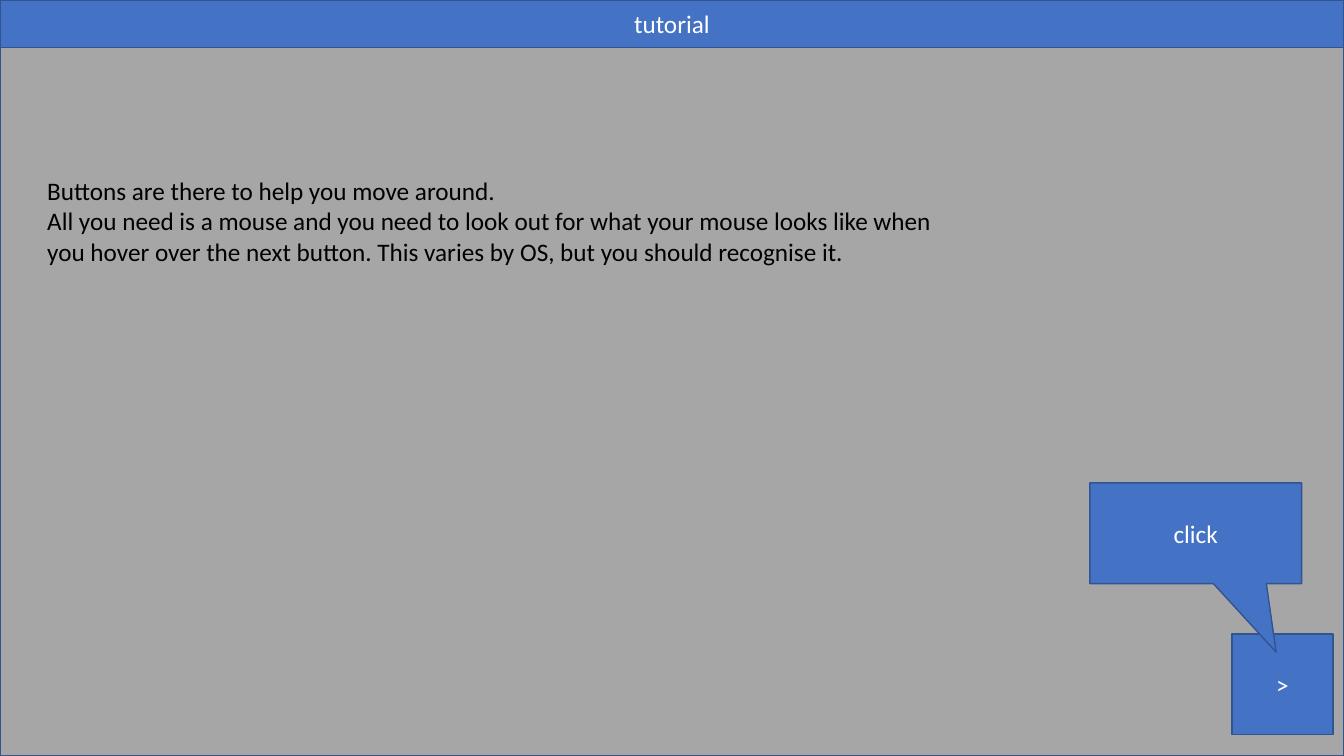
from pptx import Presentation
from pptx.dml.color import RGBColor
from pptx.enum.shapes import MSO_SHAPE
from pptx.enum.text import MSO_ANCHOR, MSO_AUTO_SIZE, PP_ALIGN
from pptx.util import Inches, Pt

RECTANGLE = MSO_SHAPE.RECTANGLE
CALLOUT = MSO_SHAPE.RECTANGULAR_CALLOUT
MIDDLE = MSO_ANCHOR.MIDDLE
GROW = MSO_AUTO_SIZE.SHAPE_TO_FIT_TEXT
LEFT, CENTER = PP_ALIGN.LEFT, PP_ALIGN.CENTER

SLIDE_WIDTH, SLIDE_HEIGHT = 13.33, 7.5
HEADER_HEIGHT = 0.47
COLORS = {
    "blue": "4472C4",
    "outline": "325491",
    "gray": "A6A6A6",
    "white": "FFFFFF",
    "black": "000000",
}
INSTRUCTIONS = [
    "Buttons are there to help you move around.",
    "All you need is a mouse and you need to look out for what your mouse "
    "looks like when you hover over the next button. This varies by OS, "
    "but you should recognise it.",
]


class TutorialSlide:
    """Holds the slide and the text and line style shared by its elements."""

    font_name = "Calibri"
    font_size = 18
    line_width = 1

    def __init__(self, slide):
        self.slide = slide

    def color(self, name):
        return RGBColor.from_string(COLORS[name])

    def add_lines(self, frame, lines, color, alignment):
        for index, line in enumerate(lines):
            paragraph = frame.add_paragraph() if index else frame.paragraphs[0]
            paragraph.alignment = alignment
            run = paragraph.add_run()
            run.text = line
            run.font.name = self.font_name
            run.font.size = Pt(self.font_size)
            run.font.color.rgb = self.color(color)

    def box(self, left, top, width, height, label=None, fill="blue", kind=RECTANGLE):
        shape = self.slide.shapes.add_shape(
            kind, Inches(left), Inches(top), Inches(width), Inches(height))
        shape.shadow.inherit = False
        shape.fill.solid()
        shape.fill.fore_color.rgb = self.color(fill)
        shape.line.color.rgb = self.color("outline")
        shape.line.width = Pt(self.line_width)
        if label:
            shape.text_frame.vertical_anchor = MIDDLE
            self.add_lines(shape.text_frame, [label], "white", CENTER)
        return shape

    def callout(self, left, top, width, height, label, tip):
        """Add a speech box; tip is its offset from the centre in box sizes."""
        shape = self.box(left, top, width, height, label, kind=CALLOUT)
        shape.adjustments[0], shape.adjustments[1] = tip

    def text(self, left, top, width, height, lines):
        shape = self.slide.shapes.add_textbox(
            Inches(left), Inches(top), Inches(width), Inches(height))
        frame = shape.text_frame
        frame.word_wrap = True
        frame.auto_size = GROW
        self.add_lines(frame, lines, "black", LEFT)


def main():
    presentation = Presentation()
    presentation.slide_width = Inches(SLIDE_WIDTH)
    presentation.slide_height = Inches(SLIDE_HEIGHT)
    blank_layout = presentation.slide_layouts[6]
    tutorial = TutorialSlide(presentation.slides.add_slide(blank_layout))

    tutorial.box(0, 0, SLIDE_WIDTH, HEADER_HEIGHT, "tutorial")
    tutorial.box(0, HEADER_HEIGHT, SLIDE_WIDTH, SLIDE_HEIGHT - HEADER_HEIGHT, fill="gray")
    tutorial.box(12.22, 6.29, 1, 1, ">")
    tutorial.callout(10.81, 4.79, 2.1, 1, "click", tip=(0.38, 1.18))
    tutorial.text(0.37, 1.69, 9.06, 1.01, INSTRUCTIONS)

    presentation.save("out.pptx")


if __name__ == "__main__":
    main()
